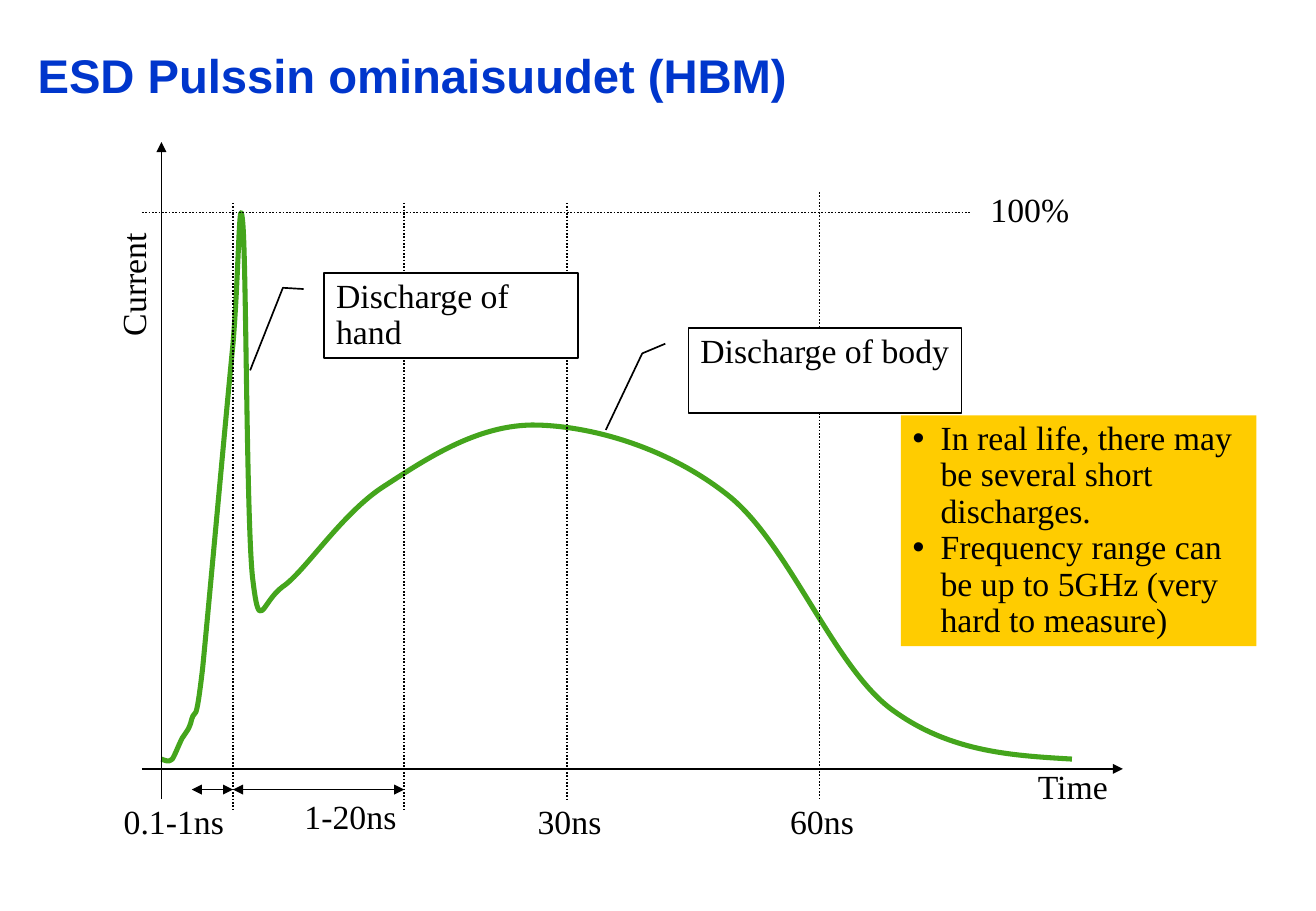
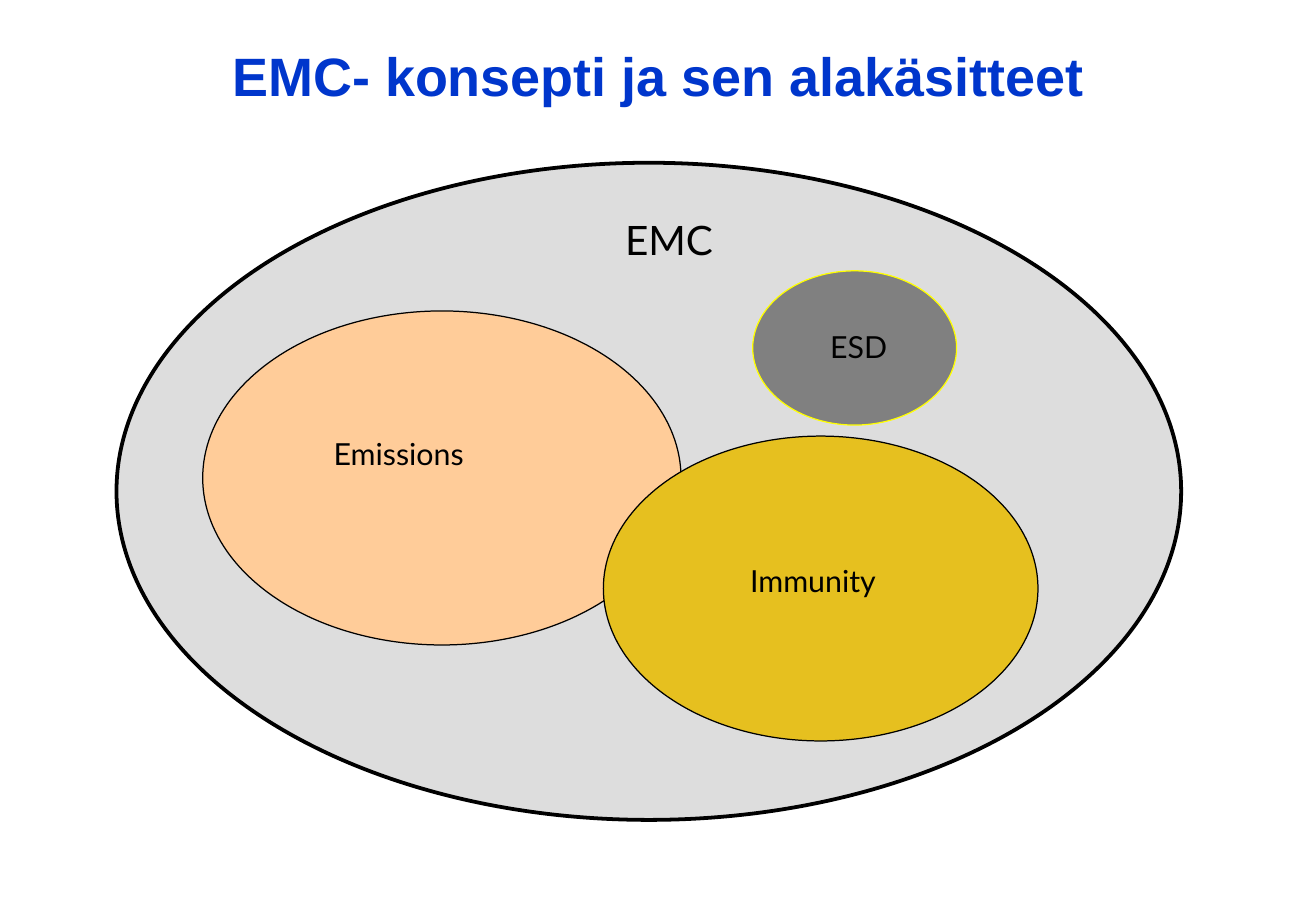
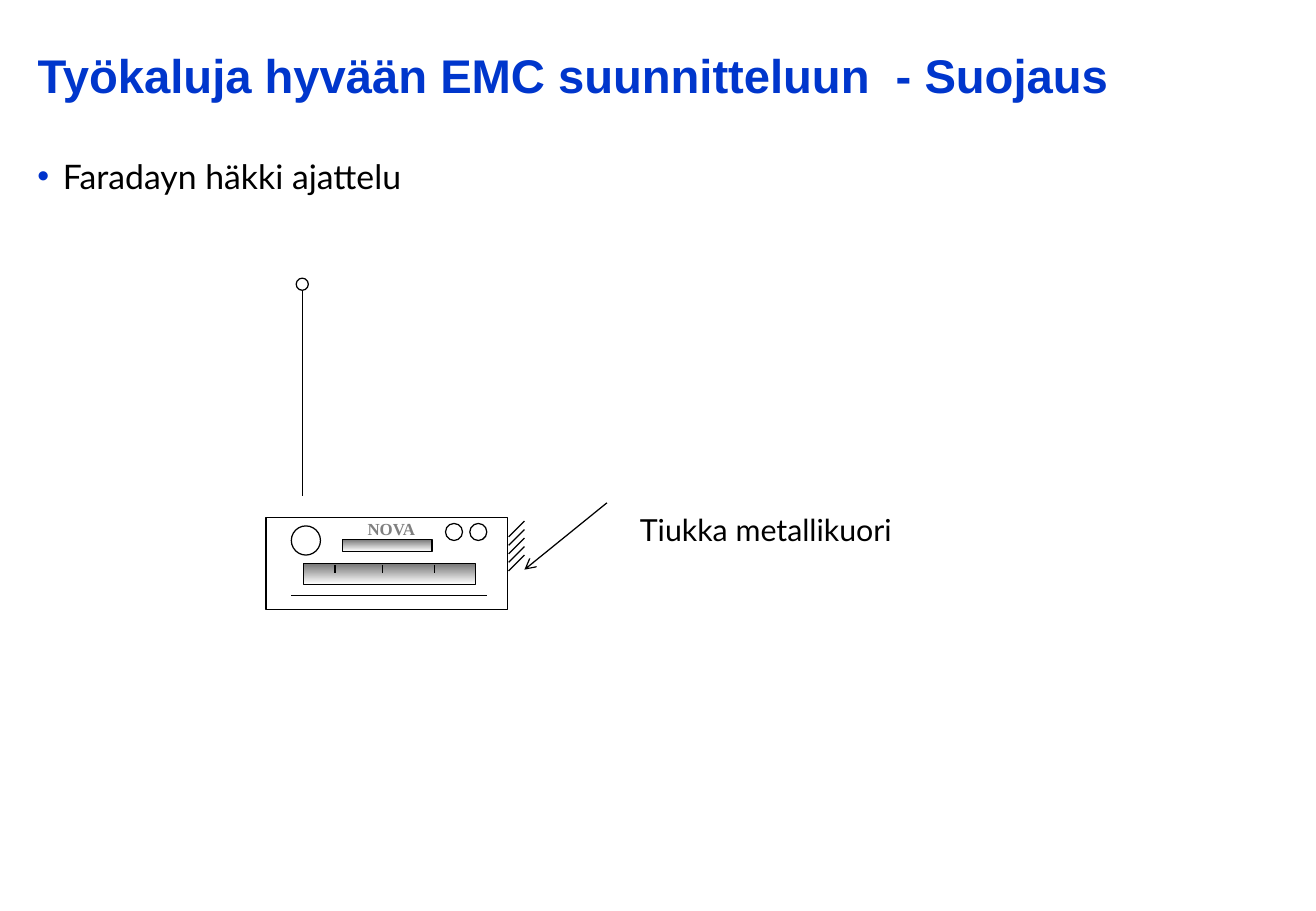
"""Build three slides on ESD pulses, the EMC concept and shielding."""
from dataclasses import dataclass
from itertools import chain

from lxml import etree
from pptx import Presentation, util as u
from pptx.dml.color import RGBColor
from pptx.enum import dml, shapes, text
from pptx.oxml.ns import qn


@dataclass(frozen=True)
class Theme:
    title: str = "0036CC"
    bullet: str = "0033CC"
    ink: str = "000000"
    paper: str = "FFFFFF"
    curve: str = "44A51C"
    note: str = "FFCC00"
    emc: str = "DDDDDD"
    grey: str = "808080"
    esd_edge: str = "FFFF00"
    emissions: str = "FFCC99"
    immunity: str = "E6C01F"
    display: str = "767676"
    head_font: str = "Arial"
    body_font: str = "Lato"
    plot_font: str = "Times New Roman"
    title_size: int = 28
    title_big: int = 32
    large: int = 24
    body: int = 20
    label: int = 18
    brand: int = 10
    thin: float = 0.75
    axis: float = 1
    outline: float = 2.25
    pulse: float = 3


T = Theme()
W, H = 10.84, 7.5
PRESET = shapes.MSO_SHAPE
ALIGN = text.PP_ALIGN
MIDDLE = text.MSO_ANCHOR.MIDDLE

TITLES = [
    ("ESD Pulssin ominaisuudet (HBM)", T.title_size, ALIGN.LEFT),
    ("EMC- konsepti ja sen alakäsitteet", T.title_big, ALIGN.CENTER),
    ("Työkaluja hyvään EMC suunnitteluun  - Suojaus", T.title_size, ALIGN.LEFT),
]

PULSE_START = (1.33, 6.25)
PULSE = [
    ((1.36, 6.26), (1.39, 6.28), (1.42, 6.25)),
    ((1.44, 6.22), (1.47, 6.14), (1.5, 6.08)),
    ((1.53, 6.03), (1.56, 6.01), (1.58, 5.92)),
    ((1.61, 5.82), (1.61, 6.01), (1.67, 5.5)),
    ((1.72, 4.99), (1.86, 3.44), (1.92, 2.83)),
    ((1.97, 2.22), (1.97, 1.51), (2, 1.83)),
    ((2.03, 2.15), (2.03, 4.25), (2.08, 4.75)),
    ((2.14, 5.25), (2.15, 4.96), (2.33, 4.83)),
    ((2.51, 4.71), (2.82, 4.22), (3.17, 4)),
    ((3.51, 3.78), (3.94, 3.49), (4.42, 3.5)),
    ((4.89, 3.51), (5.51, 3.69), (6, 4.08)),
    ((6.49, 4.47), (6.86, 5.47), (7.33, 5.83)),
    ((7.81, 6.19), (8.32, 6.22), (8.83, 6.25)),
]
AXES = [
    ((1.33, 6.58), (1.33, 1.17), False),
    ((1.17, 6.33), (9.25, 6.33), False),
    ((1.58, 6.5), (1.92, 6.5), True),
    ((1.92, 6.5), (3.33, 6.5), True),
]
GUIDES = [
    ((1.92, 1.67), (1.92, 6.67)),
    ((3.33, 1.67), (3.33, 6.67)),
    ((4.67, 1.67), (4.67, 6.58)),
    ((6.75, 1.58), (6.75, 6.58)),
    ((1.17, 1.75), (8, 1.75)),
]
PLOT_LABELS = [
    ("0.1-1ns", (0.92, 6.58, 1.02, 0.4), 0),
    ("1-20ns", (2.41, 6.54, 0.96, 0.4), 0),
    ("30ns", (4.33, 6.58, 0.72, 0.4), 0),
    ("60ns", (6.41, 6.58, 0.72, 0.4), 0),
    ("100%", (8.06, 1.54, 0.85, 0.4), 0),
    ("Current", (0.59, 2.14, 1.05, 0.4), 270),
    ("Time", (8.45, 6.29, 0.79, 0.4), 0),
]
CALLOUTS = [
    ("Discharge of hand", (2.67, 2.25, 2.09, 0.7),
     ((2.5, 2.38), (2.33, 2.37), (2.06, 3.05))),
    ("Discharge of body", (5.67, 2.7, 2.25, 0.7),
     ((5.48, 2.83), (5.29, 2.91), (4.99, 3.54))),
]
NOTES = [
    "In real life, there may be several short discharges.",
    "Frequency range can be up to 5GHz (very hard to measure)",
]

CONCEPTS = [
    ("EMC", (0.96, 1.34, 8.77, 5.41), T.emc, T.ink, T.outline,
     (5.05, 1.72, 1.58, 0.5), T.large),
    ("ESD", (6.2, 2.23, 1.68, 1.27), T.grey, T.esd_edge, T.thin,
     (6.74, 2.65, 1.19, 0.4), T.label),
    ("Emissions", (1.67, 2.56, 3.94, 2.75), T.emissions, T.ink, T.thin,
     (2.65, 3.53, 2.58, 0.4), T.label),
    ("Immunity", (4.97, 3.59, 3.58, 2.51), T.immunity, T.ink, T.thin,
     (6.08, 4.58, 2.58, 0.4), T.label),
]

DISPLAYS = [(2.5, 4.64, 1.42, 0.17), (2.82, 4.44, 0.74, 0.1)]
ANTENNA = ((2.49, 4.08), (2.49, 2.32))
KNOBS = [(2.44, 2.29, 0.1), (2.4, 4.33, 0.24), (3.67, 4.31, 0.14), (3.87, 4.31, 0.14)]
HATCHES = [((4.32, 4.29 + 0.07 * i), (4.19, 4.42 + 0.07 * i)) for i in range(5)]
DIAL_TICKS = [((x, 4.65), (x, 4.72)) for x in (2.76, 3.15, 3.58)]
BASE_LINE = ((2.4, 4.9), (4.01, 4.9))
SHELL_BOX = (5.08, 4.02, 2.46, 0.67)
SHELL_ARROW = ((4.32, 4.69), (5, 4.14))


def rgb(value):
    return RGBColor.from_string(value)


def inches(values):
    return [u.Inches(v) for v in values]


def write(sp, lines, size, font, color=T.ink, bold=False, align=ALIGN.LEFT,
          anchor=text.MSO_ANCHOR.TOP, wrap=True, spacing=1.0, indent=0, bullet=T.ink):
    tf = sp.text_frame
    tf.word_wrap = wrap
    tf.auto_size = text.MSO_AUTO_SIZE.NONE
    tf.vertical_anchor = anchor
    for i, line in enumerate(lines):
        p = tf.add_paragraph() if i else tf.paragraphs[0]
        p.alignment = align
        p.line_spacing = spacing
        r = p.add_run()
        r.text = line
        r.font.size = u.Pt(size)
        r.font.name = font
        r.font.bold = bold
        r.font.color.rgb = rgb(color)
        if indent:
            pPr = p._p.get_or_add_pPr()
            pPr.set("marL", str(u.Inches(indent)))
            pPr.set("indent", str(-u.Inches(indent)))
            clr = etree.SubElement(pPr, qn("a:buClr"))
            etree.SubElement(clr, qn("a:srgbClr"), val=bullet)
            etree.SubElement(pPr, qn("a:buFont"), typeface="Arial")
            etree.SubElement(pPr, qn("a:buChar"), char="•")


def add_text(parent, box, lines, size, font, **style):
    sp = parent.add_textbox(*inches(box))
    write(sp, lines, size, font, **style)
    return sp


def add_ends(sp, head, tail):
    ln = sp.line._get_or_add_ln()
    for tag, kind in (("a:headEnd", head), ("a:tailEnd", tail)):
        if kind:
            etree.SubElement(ln, qn(tag), type=kind)


def add_shape(parent, preset, box, fill=T.paper, line=T.ink, width=T.thin):
    sp = parent.add_shape(preset, *inches(box))
    sp.shadow.inherit = False
    sp.fill.solid()
    sp.fill.fore_color.rgb = rgb(fill)
    if line:
        sp.line.color.rgb = rgb(line)
        sp.line.width = u.Pt(width)
    else:
        sp.line.fill.background()
    return sp


def add_callout(parent, preset, box, leader, width):
    sp = add_shape(parent, preset, box, width=width)
    left, top, wide, high = box
    shares = [((y - top) / high, (x - left) / wide) for x, y in leader]
    for i, share in enumerate(chain.from_iterable(shares)):
        sp.adjustments[i] = share
    return sp


def add_line(parent, start, end, width=T.thin, head=None, tail=None, dotted=False):
    sp = parent.add_connector(shapes.MSO_CONNECTOR.STRAIGHT, *inches(start + end))
    sp.line.color.rgb = rgb(T.ink)
    sp.line.width = u.Pt(width)
    if dotted:
        sp.line.dash_style = dml.MSO_LINE.ROUND_DOT
    add_ends(sp, head, tail)
    etree.SubElement(sp._element.spPr, qn("a:effectLst"))


def add_curve(parent, start, segments):
    builder = parent.build_freeform(*inches(start), scale=1.0)
    builder.add_line_segments([inches(pt) for pt in chain(*segments)], close=False)
    sp = builder.convert_to_shape()
    sp.shadow.inherit = False
    sp.fill.background()
    sp.line.color.rgb = rgb(T.curve)
    sp.line.width = u.Pt(T.pulse)
    steps = list(sp._element.iter(qn("a:lnTo")))
    outline = steps[0].getparent()
    for i in range(0, len(steps), 3):
        bezier = etree.SubElement(outline, qn("a:cubicBezTo"))
        for step in steps[i:i + 3]:
            bezier.append(step[0])
            outline.remove(step)


def add_slide(prs, title, size, align):
    s = prs.slides.add_slide(prs.slide_layouts[5])
    sp = s.shapes.title
    sp.left, sp.top, sp.width, sp.height = inches((0.21, 0, 10.43, 1.23))
    write(sp, [title], size, T.head_font, T.title, True, align, MIDDLE)
    return s.shapes


def draw_pulse(parent):
    add_curve(parent, PULSE_START, PULSE)
    for start, end, double in AXES:
        add_line(parent, start, end, T.axis, "triangle" if double else None, "triangle")
    for start, end in GUIDES:
        add_line(parent, start, end, T.axis, dotted=True)
    for label, box, turn in PLOT_LABELS:
        sp = add_text(parent, box, [label], T.body, T.plot_font, wrap=False, spacing=0.9)
        sp.rotation = turn
    for label, box, leader in CALLOUTS:
        sp = add_callout(parent, PRESET.LINE_CALLOUT_2, box, leader, T.axis)
        write(sp, [label], T.body, T.plot_font, spacing=0.9)
    sp = add_shape(parent, PRESET.RECTANGLE, (7.42, 3.42, 2.93, 1.9), T.note, None)
    write(sp, NOTES, T.body, T.plot_font, spacing=0.9, indent=0.23)


def draw_concepts(parent):
    for label, box, fill, line, width, label_box, size in CONCEPTS:
        add_shape(parent, PRESET.OVAL, box, fill, line, width)
        add_text(parent, label_box, [label], size, T.body_font)


def draw_radio(parent):
    add_shape(parent, PRESET.RECTANGLE, (2.19, 4.26, 1.99, 0.76))
    for box in DISPLAYS:
        sp = add_shape(parent, PRESET.RECTANGLE, box)
        sp.fill.gradient()
        sp.fill.gradient_angle = 270
        for stop, color, at in zip(sp.fill.gradient_stops, (T.display, T.paper), (0, 1)):
            stop.color.rgb = rgb(color)
            stop.position = at
    add_line(parent, *ANTENNA)
    for x, y, d in KNOBS:
        add_shape(parent, PRESET.OVAL, (x, y, d, d))
    for start, end in HATCHES + DIAL_TICKS:
        add_line(parent, start, end)
    add_text(parent, (2.93, 4.22, 0.58, 0.26), ["NOVA"], T.brand, T.plot_font,
             color=T.grey, bold=True, wrap=False)
    add_line(parent, *BASE_LINE)


def draw_shielding(parent):
    add_text(parent, (0.21, 1.23, 10.43, 5.44), ["Faradayn häkki ajattelu"],
             T.body, T.body_font, indent=0.21, bullet=T.bullet)
    draw_radio(parent.add_group_shape().shapes)
    sp = add_callout(parent, PRESET.LINE_CALLOUT_1_NO_BORDER, SHELL_BOX, SHELL_ARROW, T.thin)
    add_ends(sp, "arrow", None)
    write(sp, ["Tiukka metallikuori"], T.label, T.body_font, align=ALIGN.CENTER, anchor=MIDDLE)


def main():
    prs = Presentation()
    prs.slide_width, prs.slide_height = inches((W, H))
    for title, draw in zip(TITLES, (draw_pulse, draw_concepts, draw_shielding)):
        draw(add_slide(prs, *title))
    prs.save("out.pptx")


if __name__ == "__main__":
    main()
